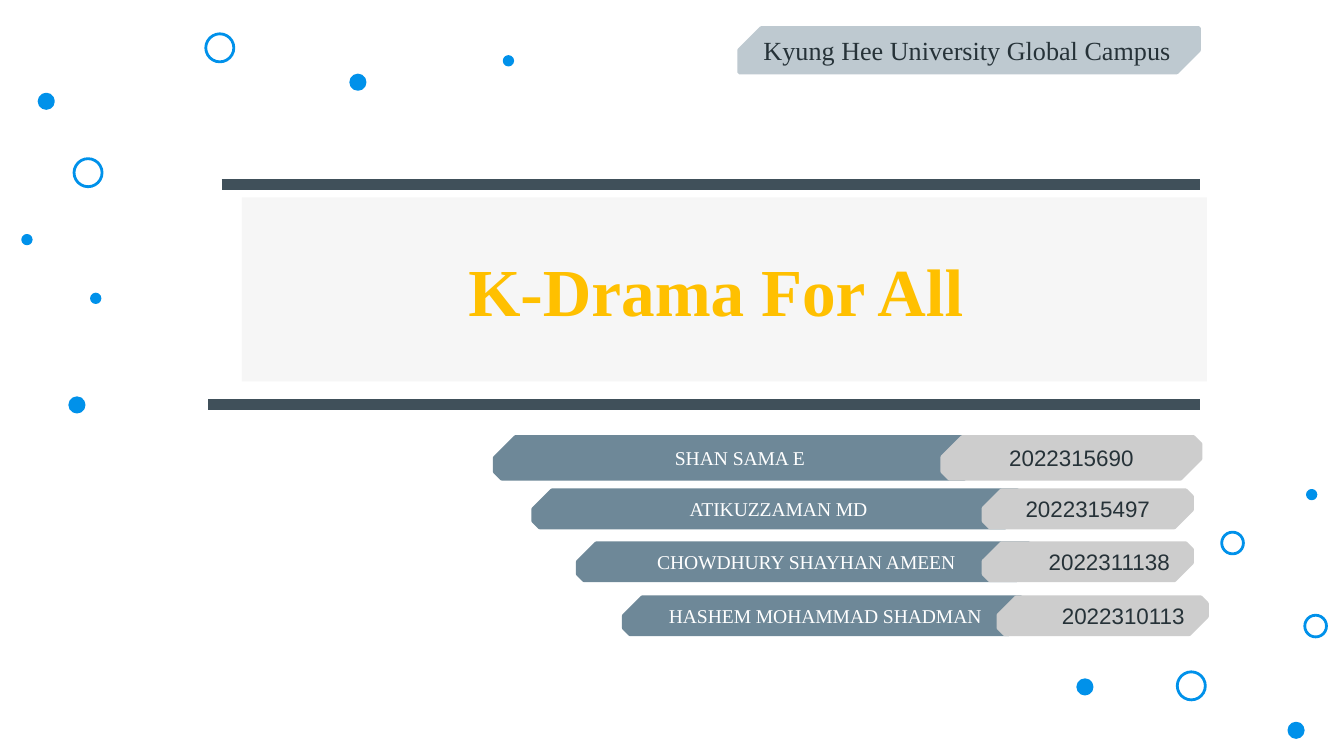
from lxml.etree import SubElement
from pptx import Presentation
from pptx.dml.color import RGBColor
from pptx.enum.shapes import MSO_CONNECTOR, MSO_SHAPE
from pptx.enum.text import MSO_ANCHOR, MSO_AUTO_SIZE, PP_ALIGN
from pptx.oxml.ns import qn
from pptx.util import Cm, Pt

COLORS = {
    "dot": "0091EA", "bar": "40505A", "name": "6E8898", "id": "CDCDCD",
    "campus": "BEC9D0", "panel": "F6F6F6", "title": "FFC000",
    "dark": "263238", "white": "FFFFFF",
}
SERIF, SANS = "Times New Roman", "Arial"
TITLE = "K-Drama For All"
CAMPUS = "Kyung Hee University Global Campus"
RIGHT_EDGE = 22.68
BARS = [(4.19, 3.48), (3.94, 7.65)]
CIRCLES = [
    (0.27, True, [(20.37, 12.85), (24.36, 13.67), (6.63, 1.42), (1.32, 7.52), (0.74, 1.78)]),
    (0.16, True, [(24.71, 9.27), (0.43, 4.45), (1.73, 5.56), (9.53, 1.07)]),
    (0.53, False, [(1.4, 3), (3.89, 0.64), (22.25, 12.7)]),
    (0.41, False, [(23.09, 10.06), (24.66, 11.63)]),
]
MEMBERS = [
    ("SHAN SAMA E", "2022315690", 8.26, 0.79, (9.35, 9.27), (17.81, 4.88), PP_ALIGN.CENTER),
    ("ATIKUZZAMAN MD", "2022315497", 9.27, 0.7, (10.08, 9.27), (18.59, 3.94), PP_ALIGN.CENTER),
    ("CHOWDHURY SHAYHAN AMEEN", "2022311138", 10.27, 0.7, (10.92, 8.64), (18.59, 3.94), PP_ALIGN.RIGHT),
    ("HASHEM MOHAMMAD SHADMAN", "2022310113", 11.29, 0.7, (11.79, 7.62), (18.87, 3.94), PP_ALIGN.RIGHT),
]


def color(key):
    return RGBColor.from_string(COLORS[key])


def add_shape(page, kind, place, fill, line, width):
    shape = page.shapes.add_shape(kind, *map(Cm, place))
    shape.shadow.inherit = False
    if fill:
        shape.fill.solid()
        shape.fill.fore_color.rgb = color(fill)
    else:
        shape.fill.background()
    shape.line.color.rgb = color(line)
    shape.line.width = Pt(width)
    return shape


def write(shape, text, font, size, ink, align, bold=False):
    frame = shape.text_frame
    frame.text = text
    frame.word_wrap = True
    frame.vertical_anchor = MSO_ANCHOR.MIDDLE
    para = frame.paragraphs[0]
    para.alignment = align
    span = para.runs[0]
    span.font.name, span.font.size, span.font.bold = font, Pt(size), bold
    span.font.color.rgb = color(ink)


def add_label(page, text, place, snips, fill, font, size, ink, align):
    label = add_shape(page, MSO_SHAPE.SNIP_2_DIAG_RECTANGLE, place, fill, fill, 2)
    label.adjustments[0], label.adjustments[1] = snips
    write(label, text, font, size, ink, align)


def add_bar(page, left, top):
    bar = page.shapes.add_connector(
        MSO_CONNECTOR.STRAIGHT, Cm(left), Cm(top), Cm(RIGHT_EDGE), Cm(top))
    bar.line.color.rgb = color("bar")
    bar.line.width = Pt(6)
    SubElement(bar._element.spPr, qn("a:effectLst"))


def add_title(page):
    title = page.shapes.title
    title.left, title.top, title.width, title.height = map(Cm, (4.57, 3.73, 18.24, 3.48))
    title.fill.solid()
    title.fill.fore_color.rgb = color("panel")
    write(title, TITLE, SERIF, 36, "title", PP_ALIGN.CENTER, bold=True)
    frame = title.text_frame
    frame.auto_size = MSO_AUTO_SIZE.NONE
    frame.margin_left = frame.margin_top = frame.margin_bottom = Cm(0.18)
    frame.margin_right = Cm(0.5)


def main():
    """Build the cover slide with its title, campus and team members."""
    deck = Presentation()
    deck.slide_width, deck.slide_height = Cm(25.4), Cm(14.29)
    page = deck.slides.add_slide(deck.slide_layouts[5])
    add_title(page)
    for size, filled, spots in CIRCLES:
        for left, top in spots:
            add_shape(page, MSO_SHAPE.OVAL, (left, top, size, size),
                      "dot" if filled else None, "dot", 1.5)
    for left, top in BARS:
        add_bar(page, left, top)
    add_label(page, CAMPUS, (13.97, 0.53, 8.69, 0.84), (0.5, 0),
              "campus", SERIF, 14, "dark", PP_ALIGN.LEFT)
    for name, number, top, height, name_span, id_span, align in MEMBERS:
        left, width = name_span
        add_label(page, name, (left, top, width, height), (0.5, 0.17),
                  "name", SERIF, 10.5, "white", PP_ALIGN.CENTER)
        left, width = id_span
        add_label(page, number, (left, top, width, height), (0.48, 0.17),
                  "id", SANS, 12, "dark", align)
    deck.save("out.pptx")


if __name__ == "__main__":
    main()
